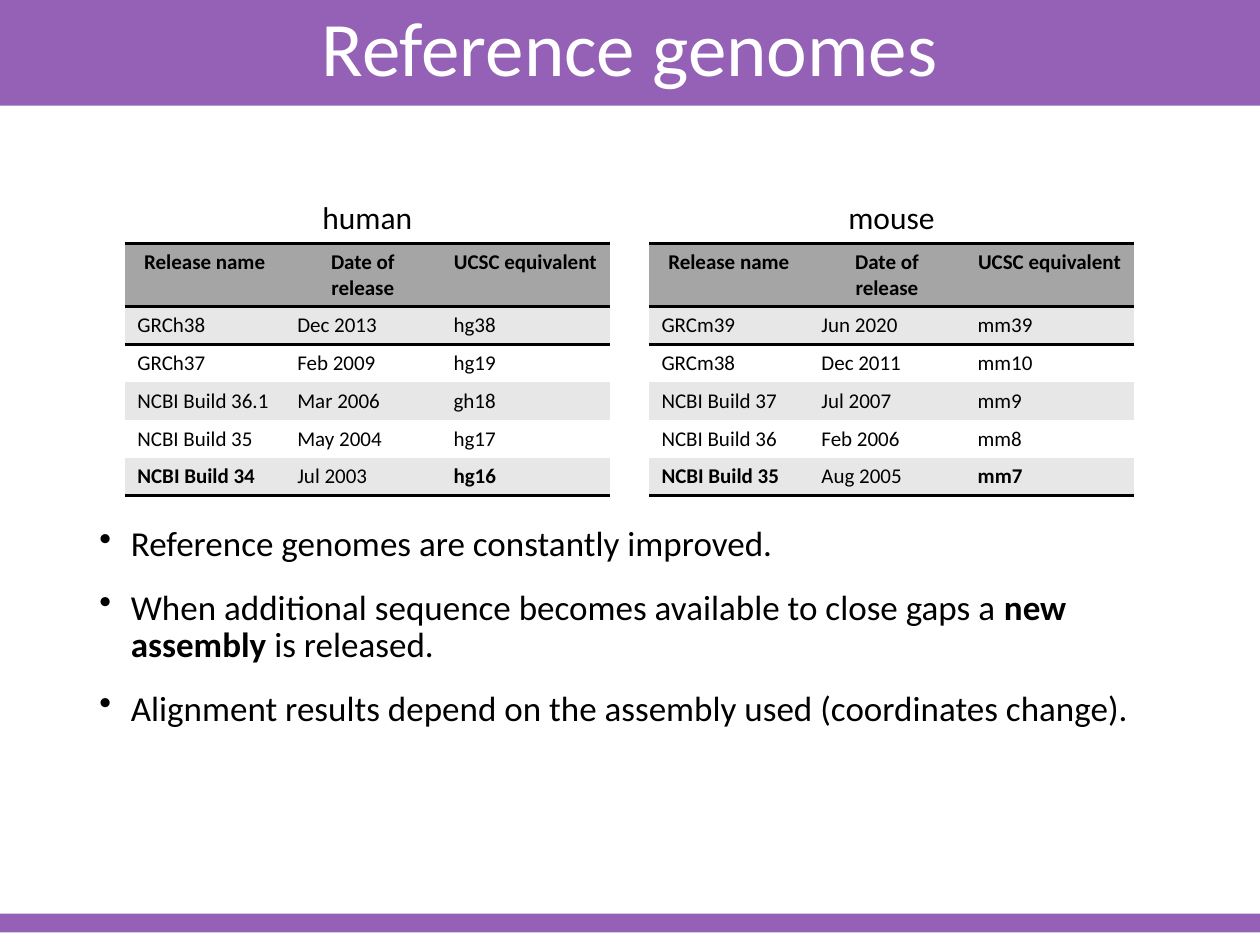
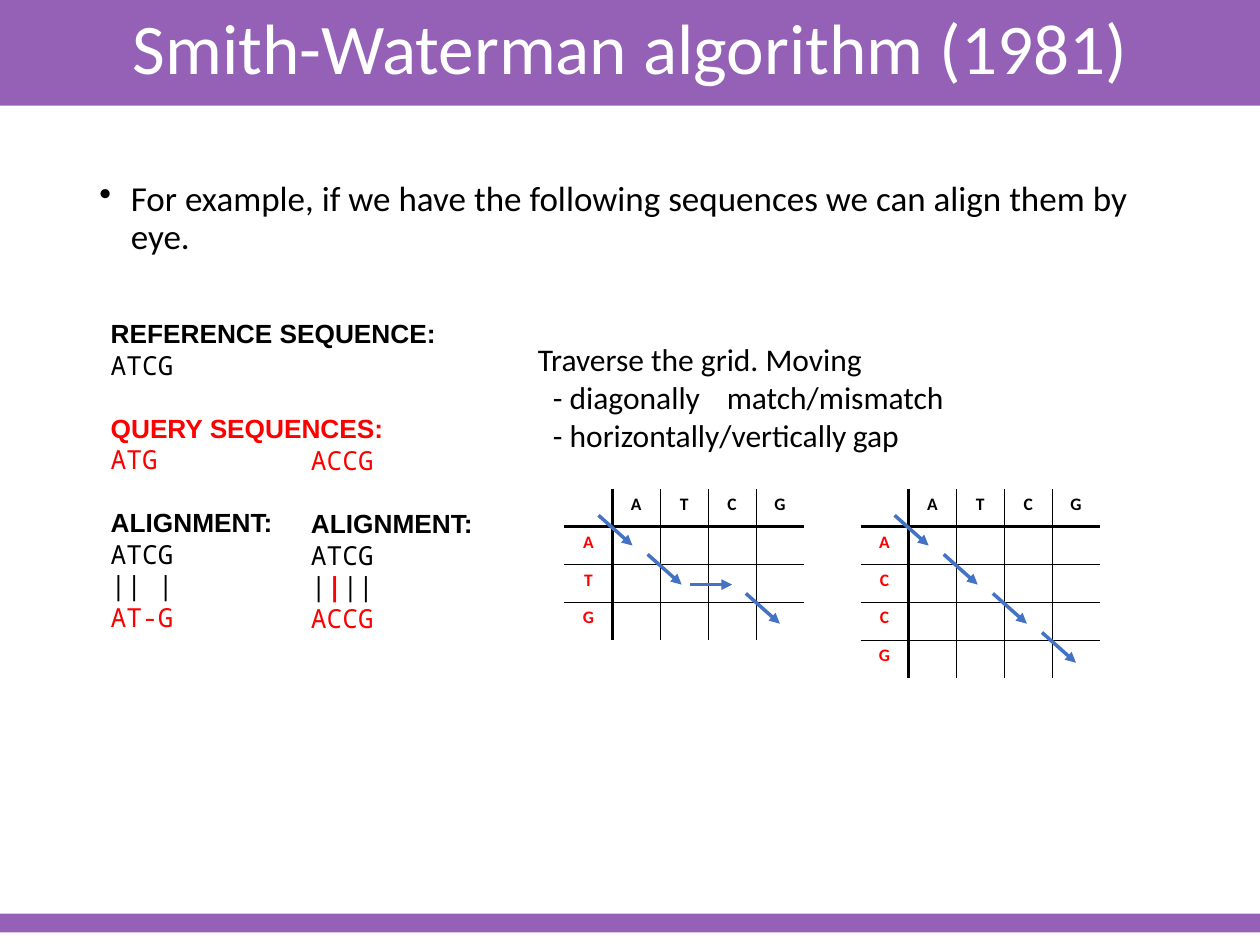
import pptx
import pptx.dml.color
import pptx.enum.shapes
import pptx.enum.text
import pptx.oxml
import pptx.oxml.ns
import pptx.util
from lxml import etree

Inches = pptx.util.Inches
Pt = pptx.util.Pt
RGBColor = pptx.dml.color.RGBColor
CENTER = pptx.enum.text.PP_ALIGN.CENTER
MIDDLE = pptx.enum.text.MSO_ANCHOR.MIDDLE

PURPLE = RGBColor(0x94, 0x61, 0xB6)
BLUE = RGBColor(0x44, 0x72, 0xC4)
RED = RGBColor(0xFF, 0x00, 0x00)
BLACK = RGBColor(0x00, 0x00, 0x00)
WHITE = RGBColor(0xFF, 0xFF, 0xFF)
HEADER_GREY = RGBColor(0xA5, 0xA5, 0xA5)
STRIPE_GREY = RGBColor(0xE7, 0xE7, 0xE7)

BODY_FONT = "Calibri"
LABEL_FONT = "Arial"
SEQUENCE_FONT = "Noto Sans Mono"
PLAIN_TABLE_STYLE = "{2D5ABB26-0587-4C30-8999-92F81FD0307C}"

MARGIN = 0.69
CONTENT_WIDTH = 8.62
BAND_TOP, BAND_HEIGHT = -0.02, 0.86

RELEASE_HEADER = ("Release name", "Date of release", "UCSC equivalent")
RELEASE_WIDTHS = (1.27, 1.24, 1.34)
RELEASES = {
    "human": [
        ("GRCh38", "Dec 2013", "hg38"),
        ("GRCh37", "Feb 2009", "hg19"),
        ("NCBI Build 36.1", "Mar 2006", "gh18"),
        ("NCBI Build 35", "May 2004", "hg17"),
        ("NCBI Build 34", "Jul 2003", "hg16"),
    ],
    "mouse": [
        ("GRCm39", "Jun 2020", "mm39"),
        ("GRCm38", "Dec 2011", "mm10"),
        ("NCBI Build 37", "Jul 2007", "mm9"),
        ("NCBI Build 36", "Feb 2006", "mm8"),
        ("NCBI Build 35", "Aug 2005", "mm7"),
    ],
}

CELL_WIDTH, CELL_HEIGHT = 0.38, 0.3
ARROW_STEP_X, ARROW_STEP_Y = 0.39, 0.31


def style_font(font, size, color=BLACK, name=BODY_FONT, bold=False):
    font.size = Pt(size)
    font.name = name
    font.bold = bold
    font.color.rgb = color


def add_text_box(page, left, top, width, height):
    box = page.shapes.add_textbox(Inches(left), Inches(top), Inches(width), Inches(height))
    box.text_frame.word_wrap = True
    return box.text_frame


def next_paragraph(frame):
    """Return the empty first paragraph, or a new one once it is filled."""
    first = frame.paragraphs[0]
    return frame.add_paragraph() if first.runs else first


def add_band(page, top, height):
    band = page.shapes.add_shape(
        pptx.enum.shapes.MSO_SHAPE.RECTANGLE, 0, Inches(top), Inches(10), Inches(height))
    band.shadow.inherit = False
    band.fill.solid()
    band.fill.fore_color.rgb = PURPLE
    band.line.fill.background()


def add_titled_page(deck, title, size):
    page = deck.slides.add_slide(deck.slide_layouts[6])
    add_band(page, BAND_TOP, BAND_HEIGHT)
    add_band(page, 7.25, 0.15)
    frame = add_text_box(page, MARGIN, BAND_TOP, CONTENT_WIDTH, BAND_HEIGHT)
    frame.vertical_anchor = MIDDLE
    para = frame.paragraphs[0]
    para.text = title
    para.alignment = CENTER
    para.line_spacing = 0.9
    style_font(para.font, size, WHITE)
    return page


def add_bullets(page, top, height, items, space_after):
    """Each item is a list of spans; every second span is bold."""
    frame = add_text_box(page, MARGIN, top, CONTENT_WIDTH, height)
    for index, spans in enumerate(items):
        para = next_paragraph(frame)
        for position, text in enumerate(spans):
            span = para.add_run()
            span.text = text
            if position % 2:
                span.font.bold = True
        para.line_spacing = 0.9
        para.space_before = Pt(10 if index else 0)
        para.space_after = Pt(space_after)
        properties = para._p.get_or_add_pPr()
        properties.set("marL", str(Inches(0.25)))
        properties.set("indent", str(-Inches(0.25)))
        bullet = etree.SubElement(properties, pptx.oxml.ns.qn("a:buChar"))
        bullet.set("char", "•")
        style_font(para.font, 20, bold=None)


def add_plain_table(page, left, top, widths, heights):
    frame = page.shapes.add_table(
        len(heights), len(widths), Inches(left), Inches(top),
        Inches(sum(widths)), Inches(sum(heights)))
    table = frame.table
    table.first_row = table.horz_banding = False
    table._tbl.tblPr.find(pptx.oxml.ns.qn("a:tableStyleId")).text = PLAIN_TABLE_STYLE
    for column, width in zip(table.columns, widths):
        column.width = Inches(width)
    for row, height in zip(table.rows, heights):
        row.height = Inches(height)
    return table


def set_borders(cell, left=0, right=0, top=0, bottom=0):
    """Draw black borders, widths in points; call before filling the cell."""
    properties = cell._tc.get_or_add_tcPr()
    for side, width in zip("LRTB", (left, right, top, bottom)):
        if width:
            properties.append(pptx.oxml.parse_xml(
                f'<a:ln{side} {pptx.oxml.ns.nsdecls("a")} w="{Pt(width)}">'
                f'<a:solidFill><a:srgbClr val="{BLACK}"/></a:solidFill></a:ln{side}>'))


def add_release_table(page, left, top, species):
    width = sum(RELEASE_WIDTHS)
    caption = add_text_box(page, left, top, width, 0.4).paragraphs[0]
    caption.text = species
    caption.alignment = CENTER
    style_font(caption.font, 18)

    rows = [RELEASE_HEADER] + RELEASES[species]
    last = len(rows) - 1
    table = add_plain_table(page, left, top + 0.41, RELEASE_WIDTHS, [0.5] + [0.3] * last)
    for r, values in enumerate(rows):
        for c, value in enumerate(values):
            cell = table.cell(r, c)
            set_borders(cell, top=2 if r <= 1 else 0, bottom=2 if r in (0, last) else 0)
            cell.fill.solid()
            cell.fill.fore_color.rgb = (
                HEADER_GREY if r == 0 else STRIPE_GREY if r % 2 else WHITE)
            para = cell.text_frame.paragraphs[0]
            para.text = value
            if r == 0:
                para.alignment = CENTER
            style_font(para.font, 12, bold=r == 0 or (r == last and c != 1))


def add_sequences(page, left, top, width, height, lines):
    """Each line is (text, colour); text ending in a colon is a label."""
    frame = add_text_box(page, left, top, width, height)
    for index, (text, color) in enumerate(lines):
        is_label = text.endswith(":")
        para = next_paragraph(frame)
        para.text = text
        para._p.get_or_add_pPr().set("marL", str(Inches(0.09)))
        para._p.get_or_add_pPr().set("indent", "0")
        if is_label and index:
            para.space_before = Pt(18)
        style_font(para.font, 15, color, LABEL_FONT if is_label else SEQUENCE_FONT, is_label)
    return frame


def mark_mismatch(para, position):
    """Split the match bars so that the one at position is bold red."""
    bars = para.text
    para.runs[0].text = bars[:position]
    for text in (bars[position], bars[position + 1:]):
        para.add_run().text = text
    style_font(para.runs[1].font, 15, RED, SEQUENCE_FONT, True)


def add_move_legend(page, left, top):
    frame = add_text_box(page, left, top, 4.97, 1.01)
    for text in ("Traverse the grid. Moving", "- diagonally\tmatch/mismatch",
                 "- horizontally/vertically\tgap"):
        para = next_paragraph(frame)
        para.add_run().text = text
        if "\t" in text:
            properties = para._p.get_or_add_pPr()
            properties.set("marL", "0")
            properties.set("indent", str(Inches(0.12)))
            properties.append(pptx.oxml.parse_xml(
                f'<a:tabLst {pptx.oxml.ns.nsdecls("a")}>'
                f'<a:tab pos="{Inches(3)}" algn="l"/></a:tabLst>'))
        style_font(para.font, 18)


def add_arrow(page, x, y, dx, dy):
    arrow = page.shapes.add_connector(
        pptx.enum.shapes.MSO_CONNECTOR.STRAIGHT,
        Inches(x), Inches(y), Inches(x + dx), Inches(y + dy))
    arrow.line.color.rgb = BLUE
    arrow.line.width = Pt(2)
    line = arrow.line._get_or_add_ln()
    etree.SubElement(line, pptx.oxml.ns.qn("a:tailEnd")).set("type", "triangle")
    etree.SubElement(arrow._element.spPr, pptx.oxml.ns.qn("a:effectLst"))


def add_alignment_grid(page, left, top, reference, query, moves):
    """Moves are D for a diagonal step and H for a horizontal one."""
    columns, rows = len(reference) + 1, len(query) + 1
    table = add_plain_table(page, left, top, [CELL_WIDTH] * columns, [CELL_HEIGHT] * rows)

    def rule(edge, count):
        """Width of the inner line after the given number of cells."""
        return 0 if edge in (0, count) else 2.25 if edge == 1 else 0.25

    for r in range(rows):
        for c in range(columns):
            cell = table.cell(r, c)
            set_borders(cell, rule(c, columns), rule(c + 1, columns),
                        rule(r, rows), rule(r + 1, rows))
            cell.fill.background()
            cell.margin_left = cell.margin_right = Inches(0.07)
            cell.margin_top = cell.margin_bottom = Inches(0.04)
            para = cell.text_frame.paragraphs[0]
            if (r == 0) != (c == 0):
                para.text = query[r - 1] if r else reference[c - 1]
                para.alignment = CENTER
                style_font(para.font, 10, RED if r else BLACK, bold=True)
            else:
                para._p.get_or_add_endParaRPr().set("sz", "1000")

    down = 0
    for across, move in enumerate(moves):
        x = left + 0.27 + across * ARROW_STEP_X
        y = top + 0.21 + down * ARROW_STEP_Y
        if move == "D":
            add_arrow(page, x, y, 0.27, 0.24)
            down += 1
        else:
            add_arrow(page, x - 0.05, y - 0.07, 0.33, 0)


def build_reference_genomes(deck):
    page = add_titled_page(deck, "Reference genomes", 44)
    for left, species in zip((0.99, 5.15), RELEASES):
        add_release_table(page, left, 1.52, species)
    add_bullets(page, 4.13, 2.85, [
        ["Reference genomes are constantly improved."],
        ["When additional sequence becomes available to close gaps a ",
         "new assembly ", "is released."],
        ["Alignment results depend on the assembly used (coordinates change)."],
    ], 4.5)


def build_smith_waterman(deck):
    page = add_titled_page(deck, "Smith-Waterman algorithm (1981)", 40.7)
    add_bullets(page, 1.39, 0.8, [
        ["For example, if we have the following sequences we can align them by eye."]], 2.2)
    add_sequences(page, MARGIN, 2.47, 2.96, 2.63, [
        ("REFERENCE SEQUENCE:", BLACK), ("ATCG", BLACK),
        ("QUERY SEQUENCES:", RED), ("ATG", RED),
        ("ALIGNMENT:", BLACK), ("ATCG", BLACK), ("|| |", BLACK), ("AT-G", RED)])
    second_query = add_sequences(page, 2.28, 3.48, 1.7, 1.62, [
        ("ACCG", RED),
        ("ALIGNMENT:", BLACK), ("ATCG", BLACK), ("||||", BLACK), ("ACCG", RED)])
    mark_mismatch(second_query.paragraphs[3], 1)
    add_move_legend(page, 4.17, 2.65)
    add_alignment_grid(page, 4.48, 3.88, "ATCG", "ATG", "DDHD")
    add_alignment_grid(page, 6.83, 3.88, "ATCG", "ACCG", "DDDD")


def main():
    deck = pptx.Presentation()
    deck.slide_width, deck.slide_height = Inches(10), Inches(7.5)
    build_reference_genomes(deck)
    build_smith_waterman(deck)
    deck.save("out.pptx")


if __name__ == "__main__":
    main()
